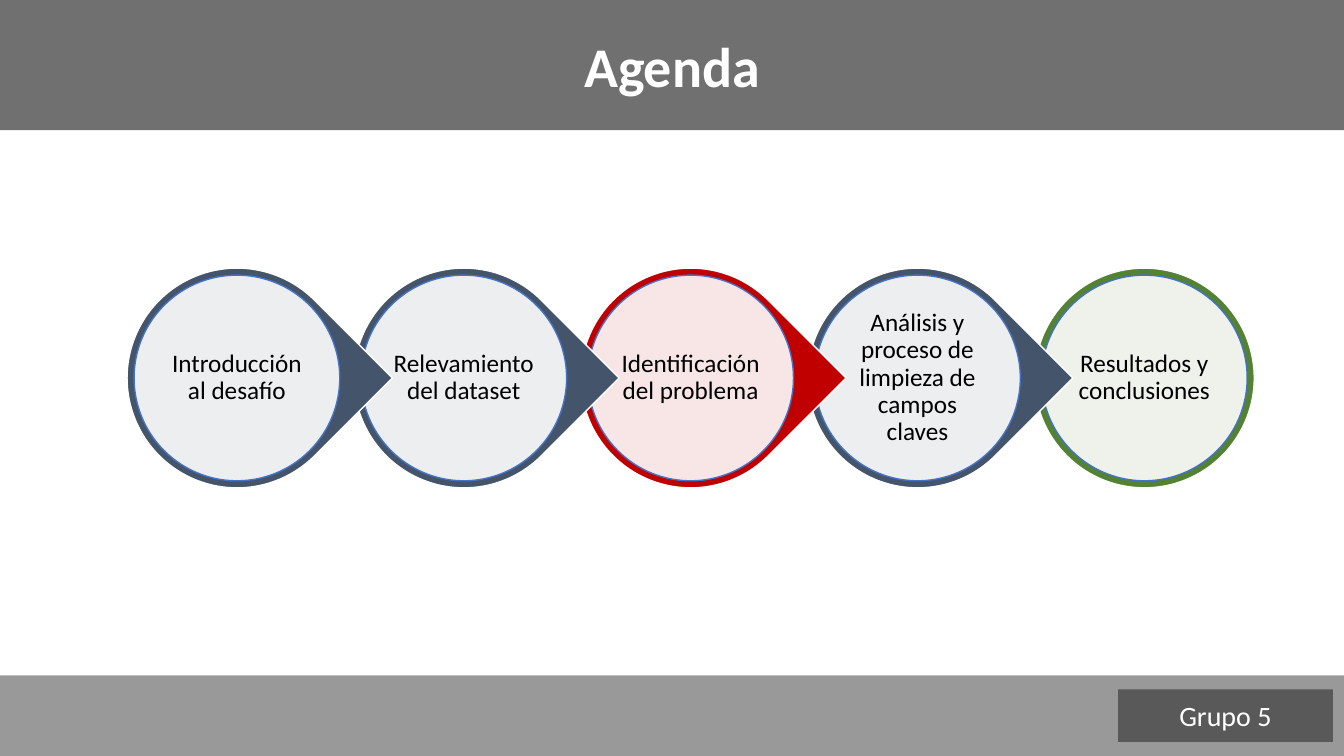
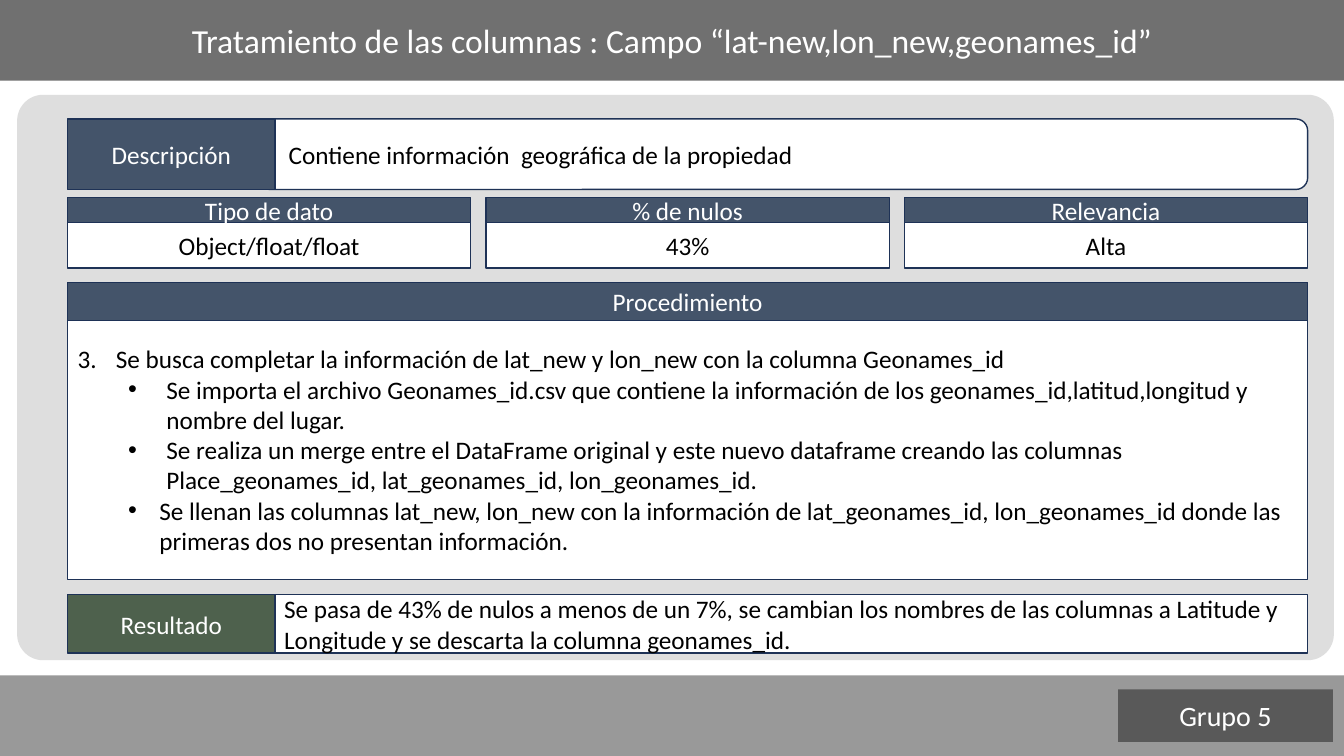
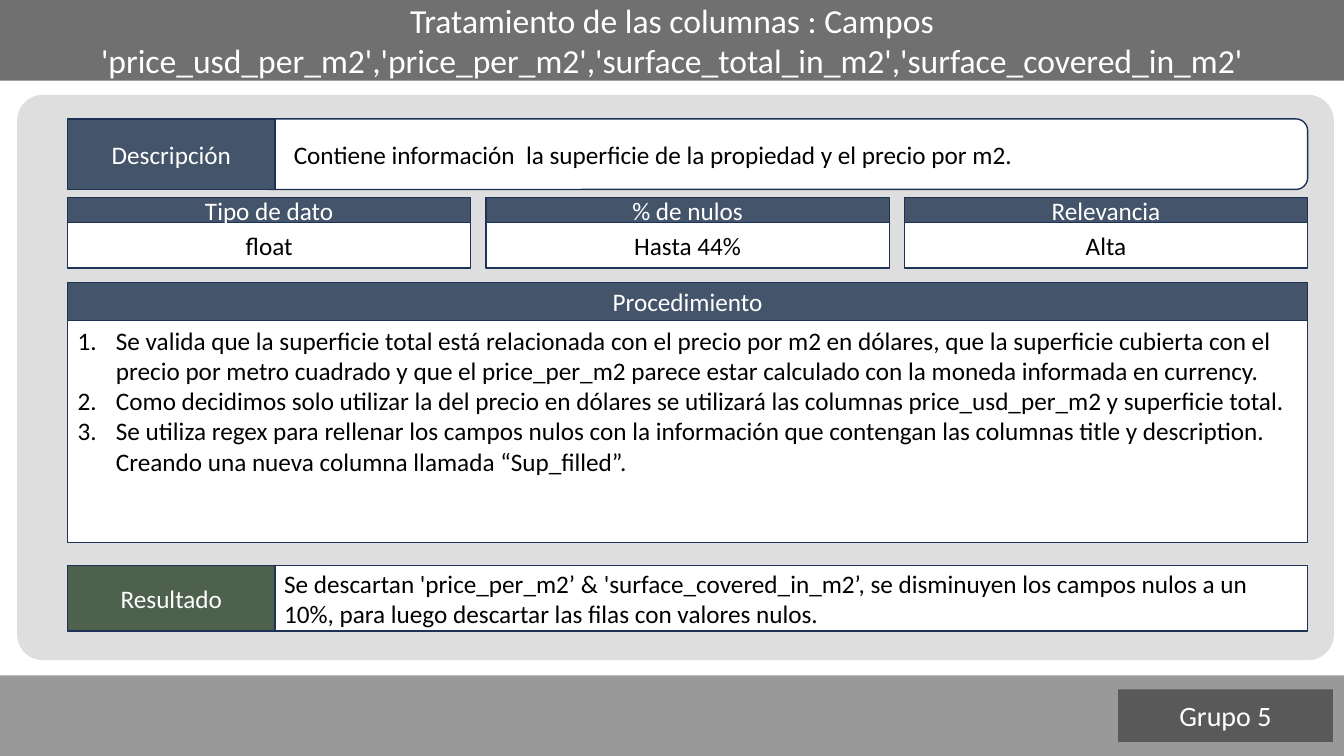
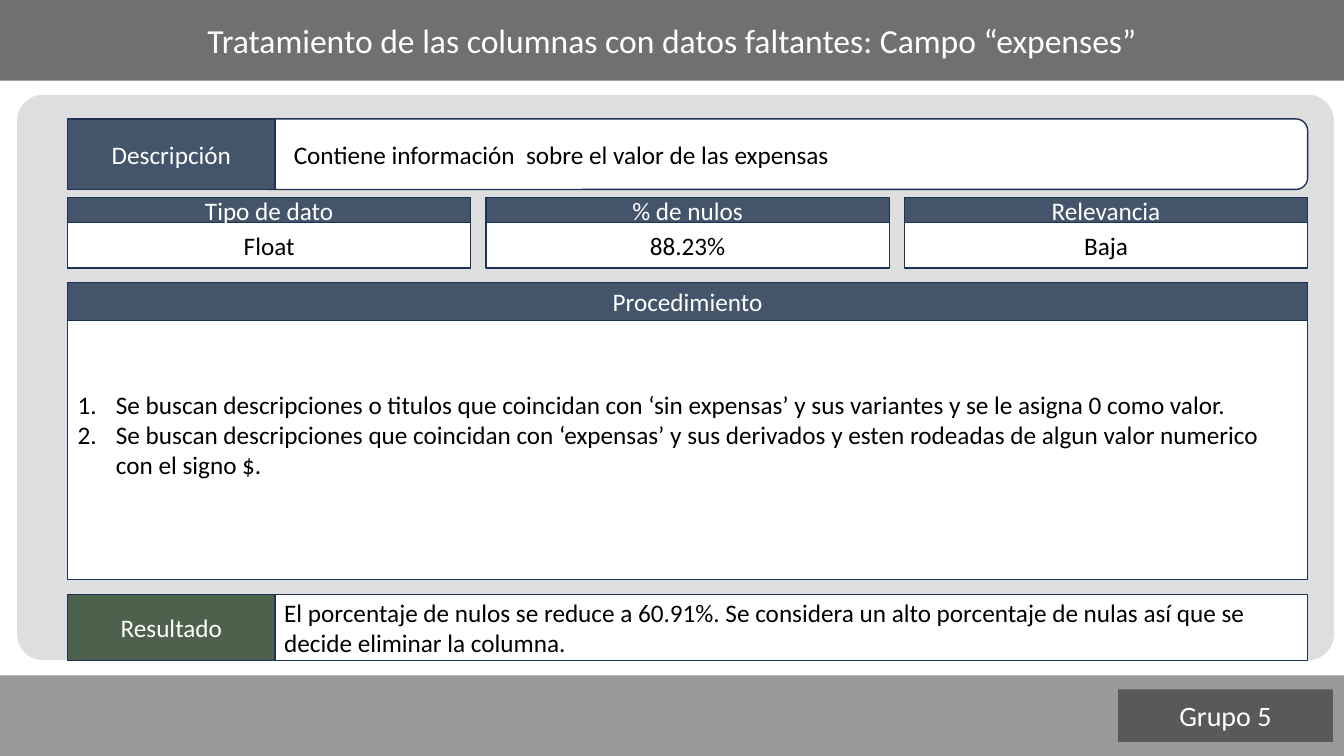
"""Build a four-slide deck: an agenda and three column-treatment sheets."""
from lxml import etree
from pptx import Presentation
from pptx.dml.color import RGBColor
from pptx.enum.shapes import MSO_SHAPE
from pptx.enum.text import MSO_ANCHOR, MSO_AUTO_SIZE, PP_ALIGN
from pptx.oxml.ns import qn
from pptx.util import Inches, Pt

RECT, ROUND = MSO_SHAPE.RECTANGLE, MSO_SHAPE.ROUNDED_RECTANGLE
OVAL, TEAR = MSO_SHAPE.OVAL, MSO_SHAPE.TEAR
LEFT, CENTER = PP_ALIGN.LEFT, PP_ALIGN.CENTER
MIDDLE = MSO_ANCHOR.MIDDLE
NO_FIT = MSO_AUTO_SIZE.NONE

FONT = "Calibri"
C = {
    "white": "FFFFFF", "black": "000000", "footer": "808080", "dark": "595959",
    "panel": "D9D9D9", "slate": "44546A", "navy": "1E3256", "moss": "4E614D",
    "red": "C00000", "green": "548235", "blue": "4472C4",
}


def paint(sp, box, fill, line=None, alpha=None):
    sp.left, sp.top, sp.width, sp.height = [Inches(v) for v in box]
    sp.shadow.inherit = False
    sp.fill.solid()
    sp.fill.fore_color.rgb = RGBColor.from_string(C[fill])
    if alpha:
        clr = sp.element.spPr.find(qn("a:solidFill"))[0]
        etree.SubElement(clr, qn("a:alpha"), val=str(alpha * 1000))
    if line:
        sp.line.color.rgb = RGBColor.from_string(C[line])
        sp.line.width = Pt(1)
    else:
        sp.line.fill.background()
    return sp


def write(sp, text, size=18, color="black", align=CENTER, bold=False,
          spacing=1.0, level=0, indent=0, hang=0, number=None, bullet=None):
    tf = sp.text_frame
    tf.word_wrap = True
    tf.auto_size = NO_FIT
    tf.vertical_anchor = MIDDLE
    p = tf.add_paragraph() if tf.text else tf.paragraphs[0]
    p.alignment = align
    p.level = level
    p.line_spacing = spacing
    p.space_before = Pt(0)
    pPr = p._p.get_or_add_pPr()
    if indent:
        pPr.set("marL", str(Inches(indent)))
        pPr.set("indent", str(-Inches(hang)))
    if number:
        etree.SubElement(pPr, qn("a:buAutoNum"), type="arabicPeriod", startAt=str(number))
    if bullet:
        etree.SubElement(pPr, qn("a:buFont"), typeface="Arial")
        etree.SubElement(pPr, qn("a:buChar"), char=bullet)
    r = p.add_run()
    r.text = text
    r.font.name = FONT
    r.font.size = Pt(size)
    r.font.bold = bold
    r.font.color.rgb = RGBColor.from_string(C[color])


prs = Presentation()
prs.slide_width, prs.slide_height = Inches(13.33), Inches(7.5)
TITLE_BODY, TITLE_ONLY = prs.slide_layouts[1], prs.slide_layouts[5]

titles = [
    (TITLE_ONLY, "Agenda", 1.29, 40),
    (TITLE_BODY, "Tratamiento de las columnas : Campo “lat-new,lon_new,geonames_id”", 0.8, 24),
    (TITLE_BODY, "Tratamiento de las columnas : Campos 'price_usd_per_m2','price_per_m2',"
                 "'surface_total_in_m2','surface_covered_in_m2'", 0.8, 24),
    (TITLE_BODY, "Tratamiento de las columnas con datos faltantes: Campo “expenses”", 0.8, 24),
]
for layout, title, height, size in titles:
    s = prs.slides.add_slide(layout)
    paint(s.shapes.title, (0, 0, 13.33, height), "dark", alpha=86)
    write(s.shapes.title, title, size=size, color="white", bold=layout is TITLE_ONLY)
    paint(s.shapes.add_shape(RECT, 0, 0, 0, 0), (0, 6.7, 13.33, 0.8), "footer", alpha=80)
    tag = paint(s.shapes.add_shape(RECT, 0, 0, 0, 0), (11.09, 6.84, 2.13, 0.52), "dark")
    write(tag, "Grupo 5", size=20, color="white")

agenda, *sheets = prs.slides

steps = [
    ("Introducción al desafío", "slate", TEAR),
    ("Relevamiento del dataset", "slate", TEAR),
    ("Identificación del problema", "red", TEAR),
    ("Análisis y proceso de limpieza de campos claves", "slate", TEAR),
    ("Resultados y conclusiones", "green", OVAL),
]
for i, (text, color, kind) in reversed(list(enumerate(steps))):
    x = 1.26 + i * 2.25
    drop = paint(agenda.shapes.add_shape(kind, 0, 0, 0, 0), (x, 2.66, 2.18, 2.18), color, "white")
    if kind == TEAR:
        drop.rotation = 45
    disc = paint(agenda.shapes.add_shape(OVAL, 0, 0, 0, 0), (x + 0.07, 2.73, 2.04, 2.04),
                 "white", "blue", alpha=90)
    tf = disc.text_frame
    tf.margin_left = tf.margin_right = tf.margin_top = tf.margin_bottom = Inches(0.01)
    write(disc, text, spacing=0.9)

NUM = {"indent": 0.38, "hang": 0.38}
SUB = {"level": 1, "indent": 0.88, "hang": 0.38, "bullet": "•"}
SUB_NEAR = {**SUB, "indent": 0.81, "hang": 0.31}
contents = [
    {
        "description": "Contiene información  geográfica de la propiedad", "margin": 0.27,
        "facts": ["Object/float/float", "43%", "Alta"],
        "list_height": 2.58, "list_bottom": 0.05,
        "list": [
            ("Se busca completar la información de lat_new y lon_new con la columna Geonames_id",
             {**NUM, "number": 3}),
            ("Se importa el archivo Geonames_id.csv que contiene la información de los "
             "geonames_id,latitud,longitud y nombre del lugar.", SUB),
            ("Se realiza un merge entre el DataFrame original y este nuevo dataframe creando "
             "las columnas Place_geonames_id, lat_geonames_id, lon_geonames_id.", SUB),
            ("Se llenan las columnas lat_new, lon_new con la información de lat_geonames_id, "
             "lon_geonames_id donde las primeras dos no presentan información.", SUB_NEAR),
        ],
        "result_top": 5.9, "result_height": 0.58,
        "result": "Se pasa de 43% de nulos a menos de un 7%, se cambian los nombres de las "
                  "columnas a Latitude y Longitude y se descarta la columna geonames_id.",
    },
    {
        "description": "Contiene información  la superficie de la propiedad y el precio por m2.",
        "margin": 0.32,
        "facts": ["float", "Hasta 44%", "Alta"],
        "list_height": 2.21, "list_bottom": 0.65,
        "list": [
            ("Se valida que la superficie total está relacionada con el precio por m2 en dólares, "
             "que la superficie cubierta con el precio por metro cuadrado y que el price_per_m2 "
             "parece estar calculado con la moneda informada en currency.", {**NUM, "number": 1}),
            ("Como decidimos solo utilizar la del precio en dólares se utilizará las columnas "
             "price_usd_per_m2 y superficie total.", {**NUM, "number": 1}),
            ("Se utiliza regex para rellenar los campos nulos con la información que contengan "
             "las columnas title y description. Creando una nueva columna llamada “Sup_filled”.",
             {**NUM, "number": 1}),
        ],
        "result_top": 5.61, "result_height": 0.65,
        "result": "Se descartan 'price_per_m2’ & 'surface_covered_in_m2’, se disminuyen los campos "
                  "nulos a un 10%, para luego descartar las filas con valores nulos.",
    },
    {
        "description": "Contiene información  sobre el valor de las expensas", "margin": 0.32,
        "facts": ["Float", "88.23%", "Baja"],
        "list_height": 2.58, "list_bottom": 0.35,
        "list": [
            ("Se buscan descripciones o titulos que coincidan con ‘sin expensas’ y sus variantes "
             "y se le asigna 0 como valor.", {**NUM, "number": 1}),
            ("Se buscan descripciones que coincidan con ‘expensas’ y sus derivados y esten "
             "rodeadas de algun valor numerico con el signo $.", {**NUM, "number": 1}),
        ],
        "result_top": 5.9, "result_height": 0.65,
        "result": "El porcentaje de nulos se reduce a 60.91%. Se considera un alto porcentaje de "
                  "nulas así que se decide eliminar la columna.",
    },
]

for s, c in zip(sheets, contents):
    panel = paint(s.shapes.add_shape(ROUND, 0, 0, 0, 0), (0.17, 0.94, 13.06, 5.61),
                  "panel", alpha=86)
    panel.adjustments[0] = 0.046
    body = s.placeholders[1]
    body.element.addprevious(panel.element)
    paint(body, (0.67, 3.17, 12.3, c["list_height"]), "white", "navy")
    body.text_frame.margin_bottom = Inches(c["list_bottom"])
    for text, style in c["list"]:
        write(body, text, align=LEFT, **style)

    top, height = c["result_top"], c["result_height"]
    boxes = [
        (ROUND, (2.56, 1.18, 10.41, 0.7), "white", c["description"], LEFT, c["margin"]),
        (RECT, (0.67, 1.18, 2.06, 0.7), "slate", "Descripción", CENTER, 0.1),
        (RECT, (0.67, 2.8, 12.3, 0.38), "slate", "Procedimiento", CENTER, 0.1),
        (RECT, (2.72, top, 10.25, height), "white", c["result"], LEFT, 0.1),
        (RECT, (0.67, top, 2.06, height), "moss", "Resultado", CENTER, 0.1),
    ]
    for i, (label, fact) in enumerate(zip(["Tipo de dato", "% de nulos", "Relevancia"], c["facts"])):
        x = 0.67 + i * 4.15
        boxes.append((RECT, (x, 2.21, 4, 0.45), "white", fact, CENTER, 0.1))
        boxes.append((RECT, (x, 1.96, 4, 0.25), "slate", label, CENTER, 0.1))
    for kind, box, fill, text, align, margin in boxes:
        sp = paint(s.shapes.add_shape(kind, 0, 0, 0, 0), box, fill, "navy")
        sp.text_frame.margin_left = Inches(margin)
        write(sp, text, align=align, color="black" if fill == "white" else "white")

prs.save("out.pptx")
